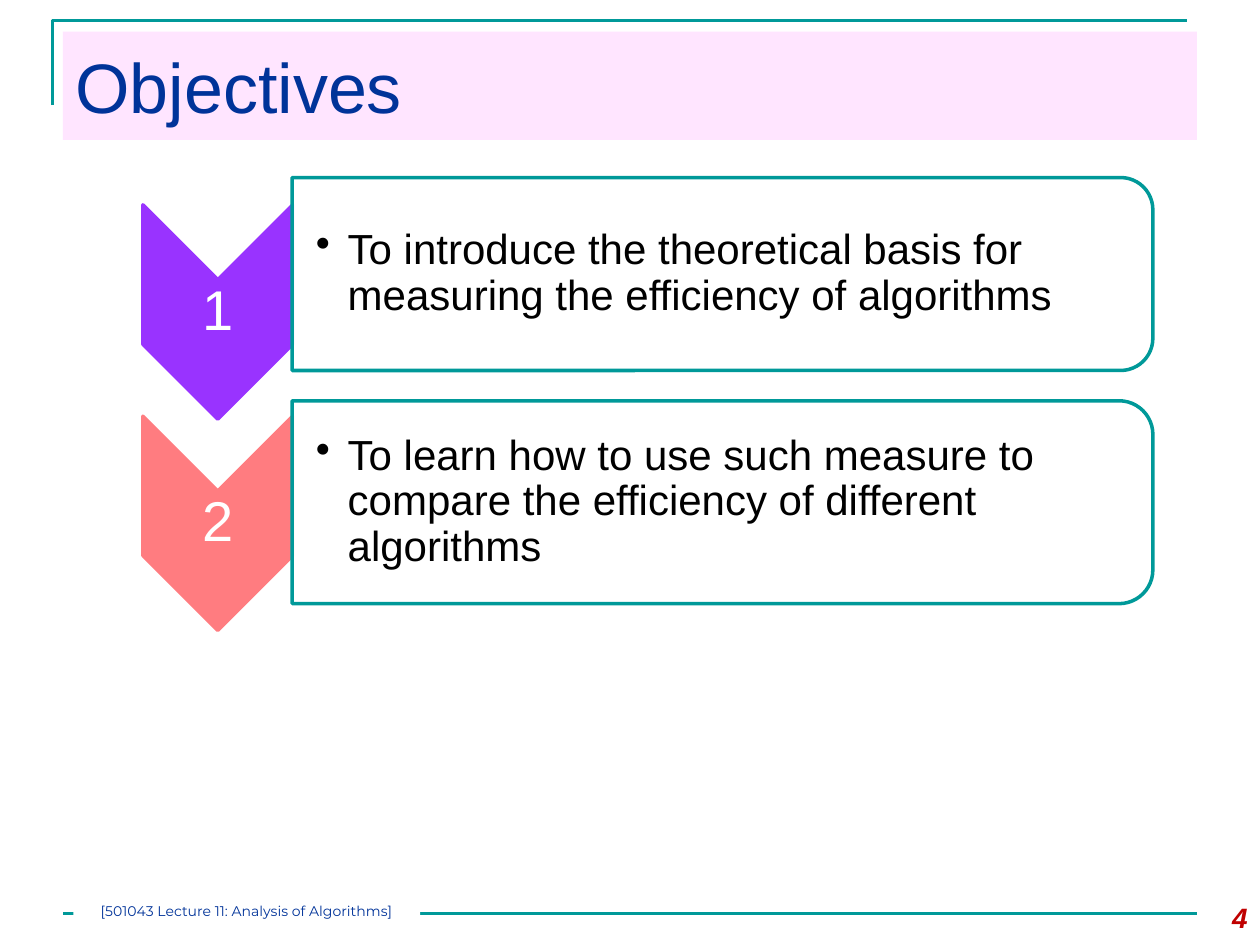
from lxml import etree
from pptx import Presentation
from pptx.dml.color import RGBColor
from pptx.enum import shapes, text
from pptx.oxml.ns import qn
from pptx.util import Cm, Pt

COLOURS = {
    "teal": "009999",
    "navy": "003399",
    "pink": "FF99FF",
    "purple": "9933FF",
    "coral": "FF7C80",
    "red": "C00000",
    "white": "FFFFFF",
    "black": "000000",
}


def colour(name):
    return RGBColor.from_string(COLOURS[name])


class SlideBuilder:
    font = "Arial"
    line_width = Pt(1.5)
    outline_width = Pt(2)

    def __init__(self, slide):
        self.slide = slide

    def line(self, x1, y1, x2, y2):
        connector = self.slide.shapes.add_connector(
            shapes.MSO_CONNECTOR.STRAIGHT, Cm(x1), Cm(y1), Cm(x2), Cm(y2))
        connector.line.color.rgb = colour("teal")
        connector.line.width = self.line_width
        etree.SubElement(connector._element.spPr, qn("a:effectLst"))

    def corner(self, points):
        (x, y), *rest = [(Cm(px), Cm(py)) for px, py in points]
        builder = self.slide.shapes.build_freeform(x, y)
        builder.add_line_segments(rest, close=False)
        shape = builder.convert_to_shape()
        shape.shadow.inherit = False
        shape.fill.background()
        shape.line.color.rgb = colour("teal")
        shape.line.width = self.line_width

    def shape(self, kind, x, y, width, height, fill, outline=None, opacity=100, turned=False):
        if turned:
            x, y = x + (width - height) / 2, y + (height - width) / 2
            width, height = height, width
        shape = self.slide.shapes.add_shape(kind, Cm(x), Cm(y), Cm(width), Cm(height))
        shape.rotation = 90 if turned else 0
        shape.shadow.inherit = False
        shape.fill.solid()
        shape.fill.fore_color.rgb = colour(fill)
        properties = shape._element.spPr
        if opacity < 100:
            fill_colour = properties.find(qn("a:solidFill"))[0]
            etree.SubElement(fill_colour, qn("a:alpha"), val=str(opacity * 1000))
        if outline:
            shape.line.color.rgb = colour(outline)
            shape.line.width = self.outline_width
            etree.SubElement(properties.find(qn("a:ln")), qn("a:round"))
        else:
            shape.line.fill.background()
        return shape

    def text_box(self, x, y, width, height):
        return self.slide.shapes.add_textbox(Cm(x), Cm(y), Cm(width), Cm(height))

    def add_text(self, shape, words, size, ink, align=text.PP_ALIGN.LEFT,
                 anchor=text.MSO_ANCHOR.TOP, insets=(0.25, 0.13, 0.25, 0.13),
                 spacing=None, font=None, emphasis=False):
        frame = shape.text_frame
        frame.word_wrap = True
        frame.vertical_anchor = anchor
        frame.margin_left, frame.margin_top, frame.margin_right, frame.margin_bottom = map(Cm, insets)
        paragraph = frame.paragraphs[0]
        paragraph.alignment = align
        paragraph.line_spacing = spacing
        run = paragraph.add_run()
        run.text = words
        run.font.name = font or self.font
        run.font.size = Pt(size)
        run.font.color.rgb = colour(ink)
        run.font.bold = run.font.italic = emphasis
        return paragraph

    def bullet(self, paragraph, indent):
        properties = paragraph._p.get_or_add_pPr()
        properties.set("marL", str(Cm(indent)))
        properties.set("indent", str(-Cm(indent)))
        etree.SubElement(properties, qn("a:buChar"), char="•")

    def objective(self, number, words, fill, chevron_top, panel_top, panel_height):
        left, width, height = 2.88, 3.02, 4.32
        panel_left, panel_width, padding = 5.89, 17.35, 0.2
        middle = text.MSO_ANCHOR.MIDDLE
        self.shape(shapes.MSO_SHAPE.CHEVRON, left, chevron_top, width, height,
                   fill, fill, turned=True)
        label = self.text_box(left, chevron_top + width / 2, width, height - width)
        self.add_text(label, number, 32, "white", text.PP_ALIGN.CENTER, middle,
                      (0.05, 0.05, 0.05, 0.05), 0.9)
        self.shape(shapes.MSO_SHAPE.ROUND_2_SAME_RECTANGLE, panel_left, panel_top,
                   panel_width, panel_height, "white", "teal", 90, turned=True)
        body = self.text_box(panel_left, panel_top + padding,
                             panel_width - padding, panel_height - 2 * padding)
        paragraph = self.add_text(body, words, 24, "black", anchor=middle,
                                  insets=(0.48, 0.05, 0.05, 0.05), spacing=0.9)
        self.bullet(paragraph, 0.64)


def main():
    presentation = Presentation()
    presentation.slide_width, presentation.slide_height = Cm(25.4), Cm(19.05)
    slide = presentation.slides.add_slide(presentation.slide_layouts[6])
    builder = SlideBuilder(slide)

    builder.corner([(1.06, 2.12), (1.06, 0.42), (23.92, 0.42)])
    builder.line(1.27, 18.42, 24.13, 18.42)

    title = builder.shape(shapes.MSO_SHAPE.RECTANGLE, 1.27, 0.64, 22.86, 2.18,
                          "pink", opacity=25)
    builder.add_text(title, "Objectives", 40, "navy", anchor=text.MSO_ANCHOR.MIDDLE)

    page_number = builder.text_box(23.7, 18.03, 1.7, 1.02)
    builder.add_text(page_number, "4", 16, "red", text.PP_ALIGN.RIGHT, emphasis=True)

    objectives = [
        ("1", "To introduce the theoretical basis for measuring the efficiency of algorithms",
         "purple", 4.13, 3.58, 3.89),
        ("2", "To learn how to use such measure to compare the efficiency of different algorithms",
         "coral", 8.39, 8.08, 4.09),
    ]
    for objective in objectives:
        builder.objective(*objective)

    footer = builder.shape(shapes.MSO_SHAPE.RECTANGLE, 1.48, 18.2, 6.99, 0.44, "white")
    builder.add_text(footer, "[501043 Lecture 11: Analysis of Algorithms]", 8, "navy",
                     text.PP_ALIGN.CENTER, insets=(0, 0, 0, 0), font="Montserrat")

    presentation.save("out.pptx")


if __name__ == "__main__":
    main()
